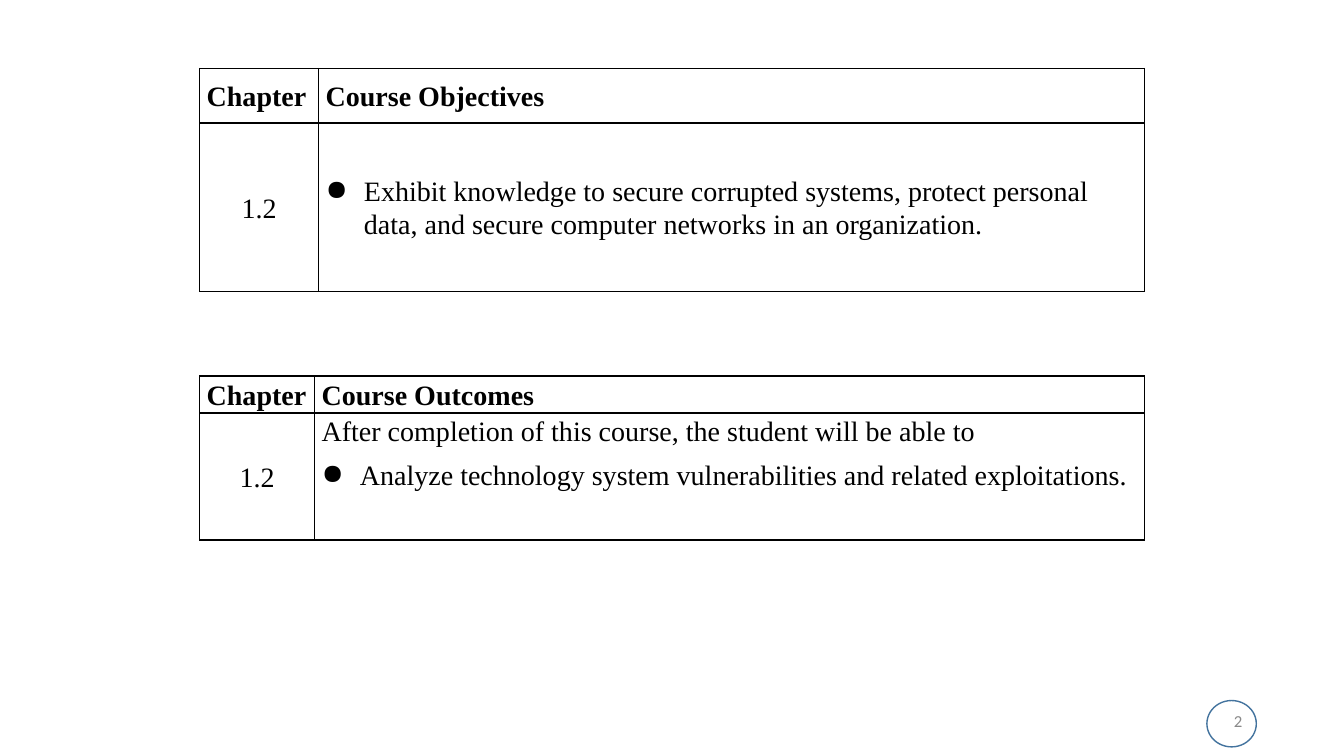
from dataclasses import dataclass

from lxml.etree import SubElement
from pptx import Presentation
from pptx.dml.color import RGBColor
from pptx.enum.shapes import MSO_SHAPE
from pptx.enum.text import MSO_ANCHOR, PP_ALIGN
from pptx.oxml.ns import qn
from pptx.util import Pt

PX = 9144


@dataclass(frozen=True)
class Theme:
    """Colours, fonts and type sizes of the slide."""
    ink: str = "000000"
    ring: str = "43739E"
    grey: str = "898989"
    serif: str = "Times New Roman"
    sans: str = "Calibri"
    body: int = 20
    small: int = 12
    rule: int = 1


THEME = Theme()
CELL = {"margin_left": 7 * PX, "margin_right": 7 * PX, "margin_top": PX,
        "margin_bottom": 0, "vertical_anchor": MSO_ANCHOR.MIDDLE}
PARA = {"line_spacing": 1.07, "space_after": Pt(8)}


def apply(item, style):
    """Set each format value on the item."""
    for name, value in style.items():
        setattr(item, name, value)


def write(para, text, color, style):
    """Add one run of styled text to a paragraph."""
    run = para.add_run()
    run.text = text
    apply(run.font, style)
    run.font.color.rgb = RGBColor.from_string(color)


def border(cell):
    """Draw a thin line on all four sides of a cell."""
    props = cell._tc.get_or_add_tcPr()
    for side in ("lnL", "lnR", "lnT", "lnB"):
        line = SubElement(props, qn("a:" + side), w=str(Pt(THEME.rule)))
        fill = SubElement(line, qn("a:solidFill"))
        SubElement(fill, qn("a:srgbClr"), val=THEME.ink)


def bullet(para):
    """Give a paragraph a round bullet and a hanging indent."""
    props = para._p.get_or_add_pPr()
    props.set("marL", str(38 * PX))
    props.set("indent", str(-38 * PX))
    SubElement(props, qn("a:buChar"), char="●")


def fill_cell(cell, lines, bold, align, anchor):
    """Write lines into a cell, where a leading ● marks a bullet."""
    apply(cell, CELL | {"vertical_anchor": anchor})
    border(cell)
    cell.fill.background()
    frame = cell.text_frame
    font = {"name": THEME.serif, "size": Pt(THEME.body), "bold": bold}
    for at, line in enumerate(lines):
        para = frame.add_paragraph() if at else frame.paragraphs[0]
        apply(para, PARA | {"alignment": align})
        if line.startswith("●"):
            bullet(para)
        write(para, line.lstrip("●"), THEME.ink, font)


def course_table(slide, box, first, rows, title, lines, anchor):
    """Place a chapter table with a head row and one entry."""
    left, top, width = box
    frame = slide.shapes.add_table(2, 2, left * PX, top * PX,
                                   width * PX, sum(rows) * PX)
    table = frame.table
    apply(table, {"first_row": False, "horz_banding": False})
    for col, size in zip(table.columns, (first, width - first)):
        col.width = size * PX
    for row, size in zip(table.rows, rows):
        row.height = size * PX
    mid, start = MSO_ANCHOR.MIDDLE, PP_ALIGN.LEFT
    fill_cell(table.cell(0, 0), ["Chapter"], True, start, mid)
    fill_cell(table.cell(0, 1), [title], True, start, mid)
    fill_cell(table.cell(1, 0), ["1.2"], False, PP_ALIGN.CENTER, mid)
    fill_cell(table.cell(1, 1), lines, False, start, anchor)


def page_mark(slide, box, number):
    """Place the ringed page number in the corner."""
    left, top, width, height = box
    ring = slide.shapes.add_shape(MSO_SHAPE.OVAL, left * PX, top * PX,
                                  width * PX, height * PX)
    ring.shadow.inherit = False
    ring.fill.background()
    ring.line.color.rgb = RGBColor.from_string(THEME.ring)
    ring.line.width = Pt(THEME.rule)
    label = slide.shapes.add_textbox((left - 255) * PX, top * PX,
                                     300 * PX, 40 * PX)
    frame = label.text_frame
    apply(frame, {"word_wrap": True, "vertical_anchor": MSO_ANCHOR.MIDDLE})
    para = frame.paragraphs[0]
    para.alignment = PP_ALIGN.RIGHT
    write(para, number, THEME.grey,
          {"name": THEME.sans, "size": Pt(THEME.small)})


def main():
    """Build the slide and save it."""
    deck = Presentation()
    apply(deck, {"slide_width": 1333 * PX, "slide_height": 750 * PX})
    slide = deck.slides.add_slide(deck.slide_layouts[6])
    page_mark(slide, (1197, 695, 49, 46), "2")
    course_table(slide, (198, 68, 937), 118, (54, 167), "Course Objectives", [
        "●Exhibit knowledge to secure corrupted systems, protect personal "
        "data, and secure computer networks in an organization.",
    ], MSO_ANCHOR.MIDDLE)
    course_table(slide, (198, 373, 937), 114, (34, 126), "Course Outcomes", [
        "After completion of this course, the student will be able to",
        "●Analyze technology system vulnerabilities and related "
        "exploitations.",
    ], MSO_ANCHOR.TOP)
    deck.save("out.pptx")


if __name__ == "__main__":
    main()
